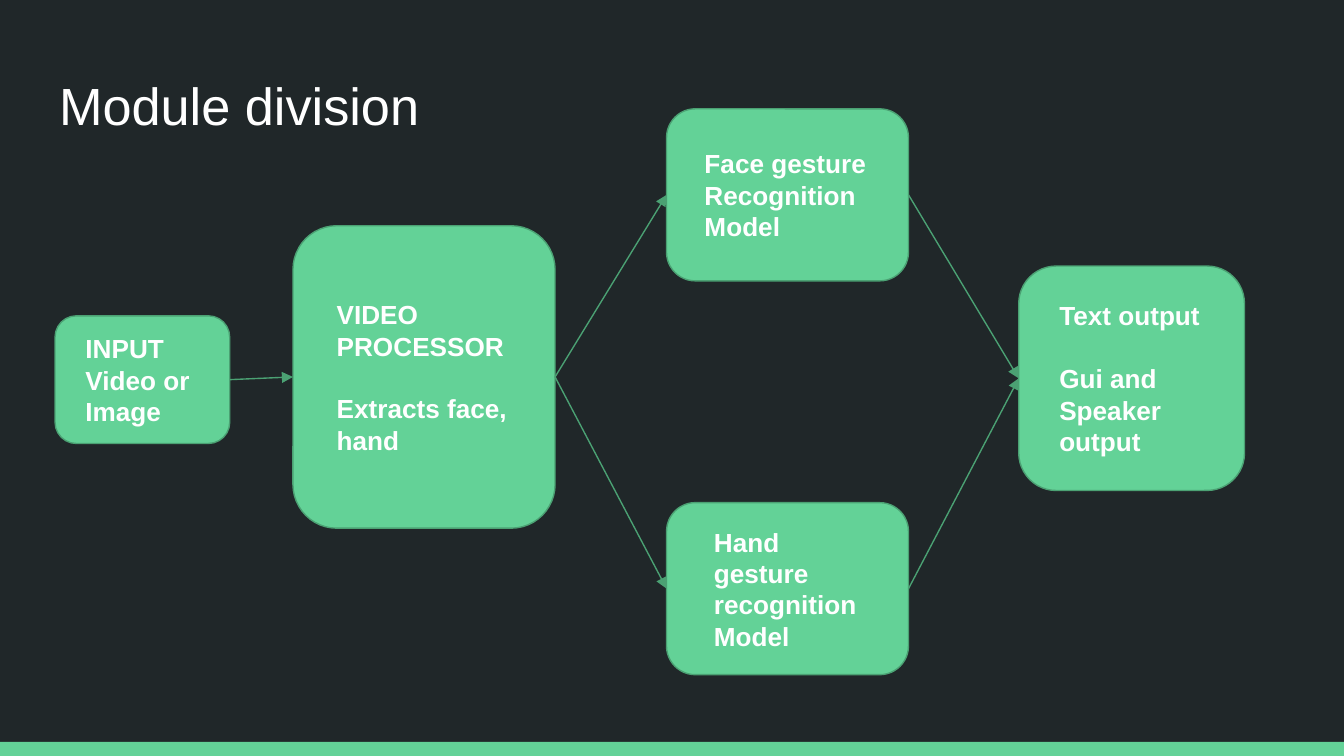
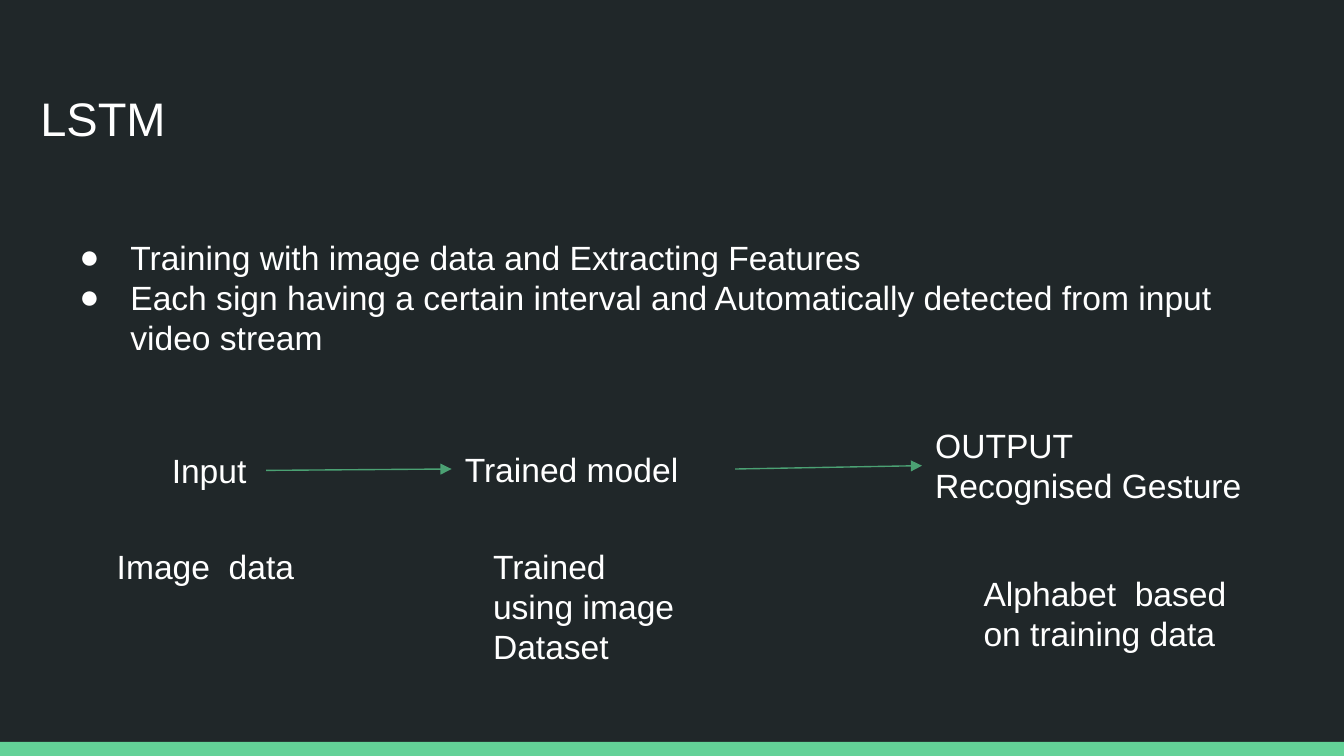
from collections import namedtuple

from lxml.etree import SubElement
from pptx import Presentation
from pptx.dml.color import RGBColor
from pptx.enum.shapes import MSO_CONNECTOR as CONNECTOR, MSO_SHAPE as SHAPE
from pptx.enum.text import MSO_ANCHOR as ANCHOR, MSO_AUTO_SIZE as AUTO, PP_ALIGN as ALIGN
from pptx.oxml.ns import qn
from pptx.util import Inches, Pt

DARK = RGBColor(0x20, 0x27, 0x29)
GREEN = RGBColor(0x63, 0xD2, 0x97)
EDGE = RGBColor(0x4B, 0xA1, 0x73)
WHITE = RGBColor(0xFF, 0xFF, 0xFF)
FONT = "Arial"
CELL = Inches(0.1)
COLS, ROWS = 100, 56.25
LEFT, RIGHT = 1, 3

Box = namedtuple("Box", "x y w h")

MODULES = {
    "input": (Box(0, 15.4, 13, 9.5), 0.18, ["INPUT", "Video or", "Image"], 0),
    "video": (Box(17.7, 8.7, 19.5, 22.5), 0.23, ["VIDEO PROCESSOR", "Extracts face, hand"], 16.8),
    "face": (Box(45.5, 0, 18, 12.8), 0.22, ["Face gesture", "Recognition Model"], 0),
    "hand": (Box(45.5, 29.3, 18, 12.8), 0.29, ["Hand gesture recognition Model"], 0),
    "output": (Box(71.7, 11.7, 16.8, 16.7), 0.22, ["Text output", "Gui and Speaker output"], 16.8),
}
MODULE_LINKS = [("input", "video"), ("video", "face"), ("video", "hand"),
                ("face", "output"), ("hand", "output")]
STAGES = [
    (Box(4.1, 1.9, 8, 5), ["Input"]),
    (Box(25.9, 1.8, 21.1, 5), ["Trained model"]),
    (Box(60.9, 0, 27.5, 8.1), ["OUTPUT", "Recognised Gesture"]),
]
STAGE_NOTES = [
    (Box(0, 9, 16.2, 5), ["Image  data"]),
    (Box(28, 9, 16.2, 11.1), ["Trained using image Dataset"]),
    (Box(64.5, 11, 20.4, 8.1), ["Alphabet  based on training data"]),
]
LSTM_POINTS = [
    "Training with image data and Extracting Features",
    "Each sign having a certain interval and Automatically detected from input video stream",
]


def within(region, part):
    """Return a part of a region as a box on the slide grid."""
    return Box(region.x + part.x, region.y + part.y, part.w, part.h)


def emu(box):
    """Turn a grid box into slide lengths."""
    return [round(n * CELL) for n in box]


def write(sp, lines, size, bold=False, inset=0.1, gap=0):
    """Fill a shape with left-aligned white paragraphs."""
    tf = sp.text_frame
    tf.text = "\n".join(lines)
    tf.word_wrap = True
    tf.auto_size = AUTO.NONE
    tf.margin_left = tf.margin_right = Inches(inset)
    tf.margin_top = tf.margin_bottom = Inches(0.1)
    for i, p in enumerate(tf.paragraphs):
        p.alignment = ALIGN.LEFT
        p.space_before = Pt(gap if i else 0)
        for r in p.runs:
            r.font.name, r.font.size, r.font.bold = FONT, Pt(size), bold
            r.font.color.rgb = WHITE
    return tf


def add_label(slide, box, lines):
    """Add a plain text label."""
    sp = slide.shapes.add_textbox(*emu(box))
    write(sp, lines, 18)
    return sp


def add_module(slide, box, inset, lines, gap):
    """Add a rounded green module box with its text."""
    sp = slide.shapes.add_shape(SHAPE.ROUNDED_RECTANGLE, *emu(box))
    sp.shadow.inherit = False
    sp.fill.solid()
    sp.fill.fore_color.rgb = GREEN
    sp.line.color.rgb = EDGE
    sp.line.width = Pt(0.75)
    write(sp, lines, 14, True, inset, gap).vertical_anchor = ANCHOR.MIDDLE
    return sp


def add_arrow(slide, start, end):
    """Join the right side of one shape to the left side of another."""
    cxn = slide.shapes.add_connector(CONNECTOR.STRAIGHT, 0, 0, 0, 0)
    cxn.begin_connect(start, RIGHT)
    cxn.end_connect(end, LEFT)
    cxn.line.color.rgb = EDGE
    cxn.line.width = Pt(0.75)
    SubElement(cxn.line._get_or_add_ln(), qn("a:tailEnd"), type="triangle")
    SubElement(cxn._element.spPr, qn("a:effectLst"))


def set_title(slide, box, text, size, spacing=1.0):
    """Place and format the slide title."""
    sp = slide.shapes.title
    sp.left, sp.top, sp.width, sp.height = emu(box)
    tf = write(sp, [text], size)
    tf.vertical_anchor = ANCHOR.BOTTOM
    tf.paragraphs[0].line_spacing = spacing


def set_bullets(slide, box, lines):
    """Place the body placeholder and give it round white bullets."""
    sp = slide.placeholders[1]
    sp.left, sp.top, sp.width, sp.height = emu(box)
    tf = write(sp, lines, 18)
    tf.vertical_anchor = ANCHOR.TOP
    for p in tf.paragraphs:
        pPr = p._p.get_or_add_pPr()
        pPr.set("marL", str(Inches(0.5)))
        pPr.set("indent", str(-Inches(0.38)))
        color = SubElement(pPr, qn("a:buClr"))
        SubElement(color, qn("a:srgbClr"), val=str(WHITE))
        SubElement(pPr, qn("a:buFont"), typeface=FONT)
        SubElement(pPr, qn("a:buChar"), char="●")


def add_module_diagram(slide, region):
    """Draw the modules and the arrows between them."""
    modules = {name: add_module(slide, within(region, box), *rest)
               for name, (box, *rest) in MODULES.items()}
    for start, end in MODULE_LINKS:
        add_arrow(slide, modules[start], modules[end])


def add_stage_flow(slide, region):
    """Draw the training stages, their arrows and the notes below."""
    stages = [add_label(slide, within(region, box), lines) for box, lines in STAGES]
    for start, end in zip(stages, stages[1:]):
        add_arrow(slide, start, end)
    for box, lines in STAGE_NOTES:
        add_label(slide, within(region, box), lines)


def style_master(prs, slide):
    """Give the master its dark background and green bottom band."""
    master = prs.slide_master
    master.background.fill.solid()
    master.background.fill.fore_color.rgb = DARK
    band = slide.shapes.add_shape(SHAPE.RECTANGLE, *emu(Box(0, ROWS - 1.05, COLS, 1.05)))
    band.shadow.inherit = False
    band.fill.solid()
    band.fill.fore_color.rgb = GREEN
    band.line.fill.background()
    master.shapes._spTree.append(band._element)


def build_modules(prs):
    """Build the module division slide."""
    slide = prs.slides.add_slide(prs.slide_layouts[5])
    style_master(prs, slide)
    set_title(slide, Box(3.4, 4.9, 93.2, 6.3), "Module division", 28, 0.9)
    add_module_diagram(slide, Box(4.1, 8.1, 88.5, 42.1))


def build_lstm(prs):
    """Build the LSTM slide."""
    slide = prs.slides.add_slide(prs.slide_layouts[1])
    set_title(slide, Box(2, 5.6, 83.4, 6.3), "LSTM", 25.2)
    set_bullets(slide, Box(3.7, 16.6, 92, 11.1), LSTM_POINTS)
    add_stage_flow(slide, Box(7.7, 30.6, 88.4, 20.1))


def main():
    """Build and save the presentation."""
    prs = Presentation()
    prs.slide_width, prs.slide_height = round(COLS * CELL), round(ROWS * CELL)
    build_modules(prs)
    build_lstm(prs)
    prs.save("out.pptx")


if __name__ == "__main__":
    main()
